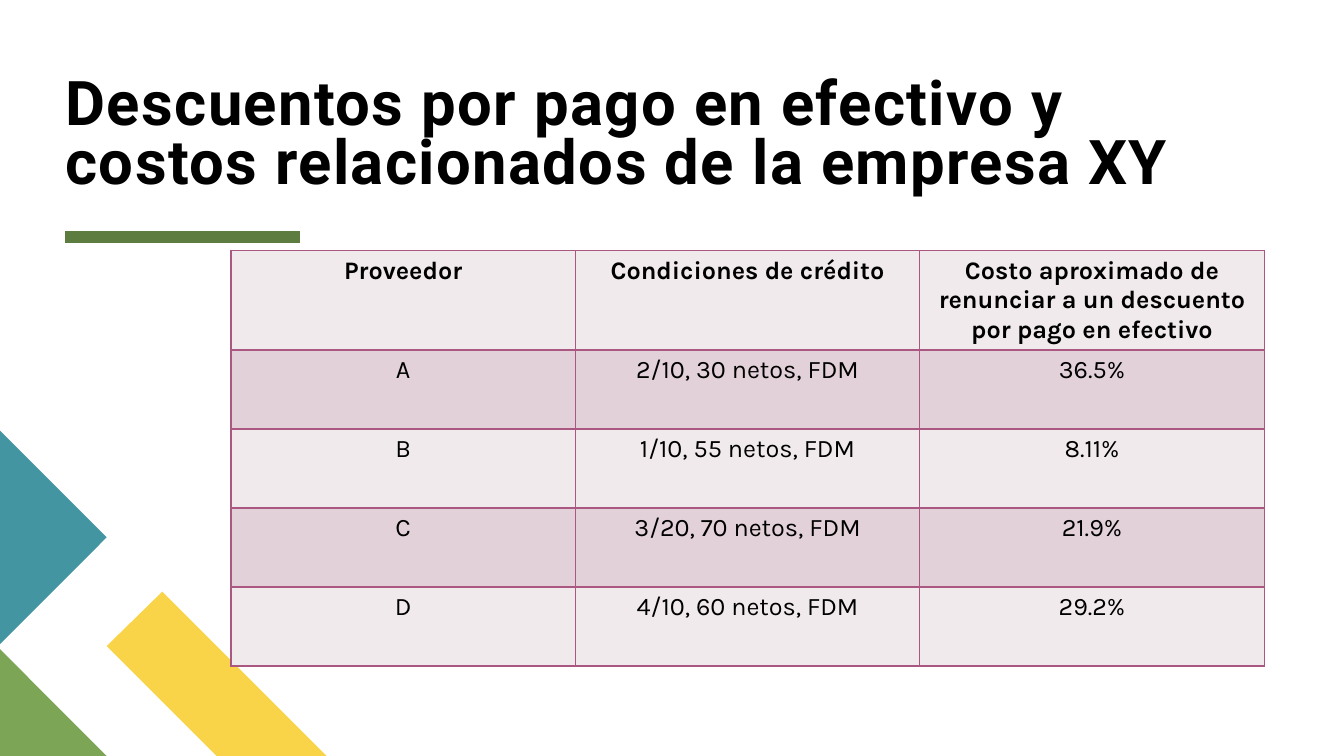
from lxml import etree
from pptx import Presentation
from pptx.dml.color import RGBColor
from pptx.enum import text
from pptx.oxml import ns
from pptx.util import Cm, Pt

COLORS = {
    "text": "000000", "rule": "5D7D40", "yellow": "F9D448", "green": "7CA655",
    "teal": "4495A2", "border": "AA5881", "light": "F1EAED", "dark": "E2D1D8",
}


def rgb(name):
    return RGBColor.from_string(COLORS[name])


def style(p, font, size, bold):
    for r in p.runs:
        r.font.name = font
        r.font.size = Pt(size)
        r.font.bold = bold
        r.font.color.rgb = rgb("text")


prs = Presentation()
prs.slide_width, prs.slide_height = Cm(33.87), Cm(19.05)
s = prs.slides.add_slide(prs.slide_layouts[5])

rule = s.shapes.add_connector(1, Cm(1.65), Cm(5.97), Cm(7.57), Cm(5.97))
rule.line.color.rgb = rgb("rule")
rule.line.width = Pt(8)
etree.SubElement(rule._element.spPr, ns.qn("a:effectLst"))

ornaments = [
    ("yellow", [(8.23, 19.05), (5.46, 19.05), (2.69, 16.28), (4.09, 14.91)]),
    ("green", [(2.69, 19.05), (0, 19.05), (0, 16.36)]),
    ("teal", [(0, 10.85), (2.69, 13.54), (0, 16.23)]),
]
for color, points in ornaments:
    corners = [(Cm(x), Cm(y)) for x, y in points]
    fb = s.shapes.build_freeform(*corners[0])
    fb.add_line_segments(corners[1:], close=True)
    sp = fb.convert_to_shape()
    sp.shadow.inherit = False
    sp.fill.solid()
    sp.fill.fore_color.rgb = rgb(color)
    sp.line.fill.background()

title = s.shapes.title
title.left, title.top, title.width, title.height = Cm(1.65), Cm(0.28), Cm(30.2), Cm(4.67)
tf = title.text_frame
tf.text = "Descuentos por pago en efectivo y costos relacionados de la empresa XY"
tf.word_wrap = True
tf.auto_size = text.MSO_AUTO_SIZE.NONE
tf.vertical_anchor = text.MSO_ANCHOR.BOTTOM
tf.margin_left = tf.margin_right = tf.margin_top = tf.margin_bottom = 0
p = tf.paragraphs[0]
p.alignment = text.PP_ALIGN.LEFT
p.line_spacing = 0.8
style(p, "Roboto", 44, True)
p.runs[0].font._element.set("spc", "100")

rows = [
    ("Proveedor", "Condiciones de crédito",
     "Costo aproximado de renunciar a un descuento por pago en efectivo"),
    ("A", "2/10, 30 netos, FDM", "36.5%"),
    ("B", "1/10, 55 netos, FDM", "8.11%"),
    ("C", "3/20, 70 netos, FDM", "21.9%"),
    ("D", "4/10, 60 netos, FDM", "29.2%"),
]
header_height, row_height, col_width = Cm(2.5), Cm(1.99), Cm(8.68)
table = s.shapes.add_table(
    len(rows), 3, Cm(5.82), Cm(6.32), 3 * col_width, header_height + 4 * row_height
).table
for col in table.columns:
    col.width = col_width
for i, values in enumerate(rows):
    table.rows[i].height = row_height if i else header_height
    for j, value in enumerate(values):
        cell = table.cell(i, j)
        cell.text = value
        cell.fill.solid()
        cell.fill.fore_color.rgb = rgb("dark" if i % 2 else "light")
        p = cell.text_frame.paragraphs[0]
        p.alignment = text.PP_ALIGN.CENTER
        style(p, "Karla", 18, i == 0)
        tcPr = cell._tc.get_or_add_tcPr()
        for k, side in enumerate(("lnL", "lnR", "lnT", "lnB")):
            ln = etree.Element(ns.qn("a:" + side), w=str(Pt(1)))
            fill = etree.SubElement(ln, ns.qn("a:solidFill"))
            etree.SubElement(fill, ns.qn("a:srgbClr"), val=COLORS["border"])
            tcPr.insert(k, ln)

prs.save("out.pptx")
